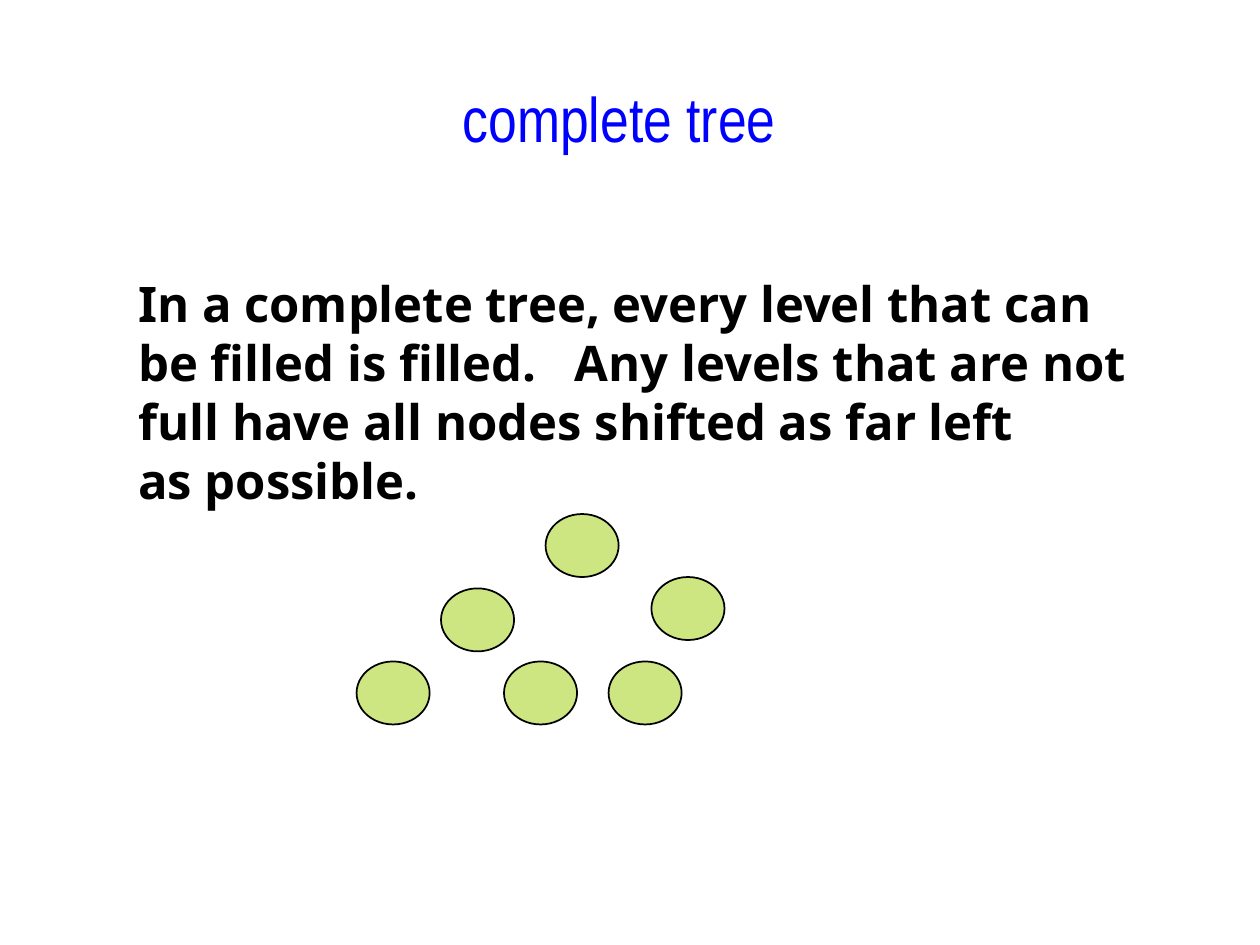
from typing import NamedTuple

from lxml.etree import SubElement
from pptx import Presentation
from pptx.dml.color import RGBColor
from pptx.enum.shapes import MSO_SHAPE as Shape
from pptx.enum.text import MSO_ANCHOR as Anchor, PP_ALIGN as Align
from pptx.oxml.ns import qn
from pptx.slide import Slide
from pptx.util import Inches, Pt

BLACK = RGBColor(0x00, 0x00, 0x00)
BLUE = RGBColor(0x00, 0x00, 0xFF)
GREEN = RGBColor(0x99, 0xCC, 0x00)
NODE_OPACITY = 49
NODE_WIDTH, NODE_HEIGHT = 0.58, 0.5
LEAF_TOP = 5.25


class Node(NamedTuple):
    """Top left corner of a tree node, in inches."""
    left: float
    top: float


class TextBlock(NamedTuple):
    """Place, wording and type of a block of text."""
    left: float
    top: float
    width: float
    height: float
    lines: tuple[str, ...]
    font: str
    size: float
    color: RGBColor
    bold: bool = False
    align: Align = Align.LEFT
    line_pitch: float | None = None
    margin_top: float = 0.05
    margin_bottom: float = 0.05


NODES = (
    Node(4.33, 4.08),
    Node(3.5, 4.67),
    Node(2.83, LEAF_TOP),
    Node(4, LEAF_TOP),
    Node(5.17, 4.58),
    Node(4.83, LEAF_TOP),
)

DEFINITION = TextBlock(
    1, 2.08, 8.17, 1.97,
    ("In a complete tree, every level that can ",
     "be filled is filled.   Any levels that are not",
     "full have all nodes shifted as far left",
     "as possible."),
    "Noto Sans", 28, BLACK, bold=True,
    line_pitch=33.7, margin_top=0.09, margin_bottom=0.01,
)
TITLE = TextBlock(1.5, 0.58, 6.83, 0.92, ("complete tree",),
                  "Arial Narrow", 36, BLUE, align=Align.CENTER)


def add_text(slide: Slide, block: TextBlock) -> None:
    """Add a text block with one paragraph per line."""
    box = slide.shapes.add_textbox(Inches(block.left), Inches(block.top),
                                   Inches(block.width), Inches(block.height))
    frame = box.text_frame
    frame.word_wrap = False
    frame.vertical_anchor = Anchor.TOP
    frame.margin_top = Inches(block.margin_top)
    frame.margin_bottom = Inches(block.margin_bottom)
    frame.text = "\n".join(block.lines)
    for line in frame.paragraphs:
        line.alignment = block.align
        if block.line_pitch:
            line.line_spacing = Pt(block.line_pitch)
        line.font.name = block.font
        line.font.size = Pt(block.size)
        line.font.bold = block.bold
        line.font.color.rgb = block.color


def add_node(slide: Slide, node: Node) -> None:
    """Add a translucent tree node with a black outline."""
    oval = slide.shapes.add_shape(Shape.OVAL, Inches(node.left), Inches(node.top),
                                  Inches(NODE_WIDTH), Inches(NODE_HEIGHT))
    oval.shadow.inherit = False
    oval.fill.solid()
    oval.fill.fore_color.rgb = GREEN
    color = oval.fill._xPr.find(qn("a:solidFill")).find(qn("a:srgbClr"))
    SubElement(color, qn("a:alpha"), val=str(NODE_OPACITY * 1000))
    oval.line.color.rgb = BLACK
    oval.line.width = Pt(1)


def main() -> None:
    """Build and save the slide."""
    deck = Presentation()
    deck.slide_width, deck.slide_height = Inches(10), Inches(7.5)
    slide = deck.slides.add_slide(deck.slide_layouts[6])
    add_text(slide, DEFINITION)
    for node in NODES:
        add_node(slide, node)
    add_text(slide, TITLE)
    deck.save("out.pptx")


main()
